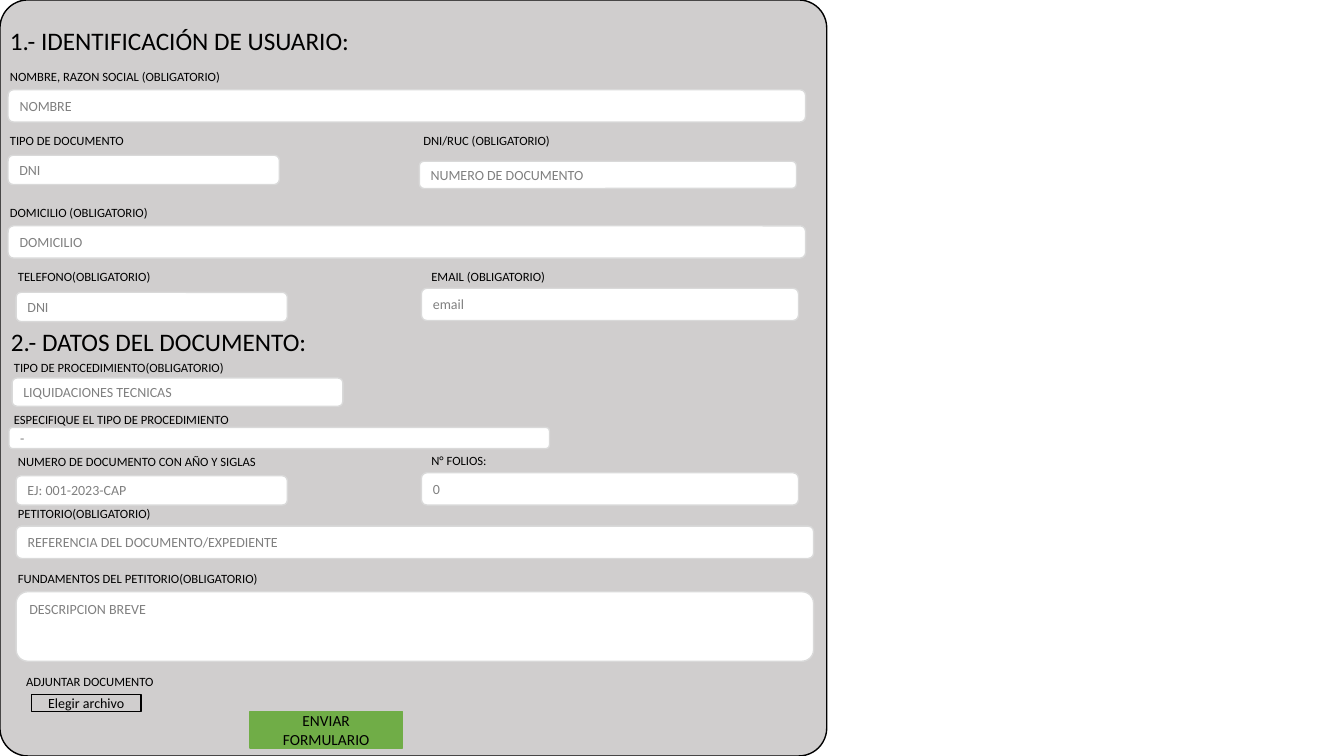
from dataclasses import dataclass

from pptx import Presentation
from pptx.dml.color import RGBColor
from pptx.enum.shapes import MSO_SHAPE
from pptx.enum.text import MSO_ANCHOR, MSO_AUTO_SIZE, PP_ALIGN
from pptx.shapes.autoshape import Shape
from pptx.slide import Slide
from pptx.util import Inches, Pt

ROUNDED = MSO_SHAPE.ROUNDED_RECTANGLE
RECTANGLE = MSO_SHAPE.RECTANGLE
TOP, MIDDLE = MSO_ANCHOR.TOP, MSO_ANCHOR.MIDDLE
LEFT, CENTER = PP_ALIGN.LEFT, PP_ALIGN.CENTER
GROW = MSO_AUTO_SIZE.SHAPE_TO_FIT_TEXT

FONT = "Calibri"
COLORS = {
    "panel": "D0CECE",
    "ink": "000000",
    "field": "FFFFFF",
    "border": "D9D9D9",
    "hint": "808080",
    "send": "70AD47",
}
SLIDE_WIDTH, SLIDE_HEIGHT = Inches(13.33), Inches(7.5)
COLUMN = SLIDE_WIDTH // 1333
ROW = SLIDE_HEIGHT // 750

LABEL_HEIGHT = 42
FULL, HALF, SHORT = 791, 374, 269


@dataclass(frozen=True)
class Area:
    column: int
    row: int
    columns: int
    rows: int

    def lengths(self) -> tuple[int, int, int, int]:
        return (self.column * COLUMN, self.row * ROW,
                self.columns * COLUMN, self.rows * ROW)


@dataclass(frozen=True)
class Label:
    text: str
    area: Area
    size: int = 9


@dataclass(frozen=True)
class Field:
    label: Label
    hint: str
    area: Area
    anchor: MSO_ANCHOR = MIDDLE


@dataclass(frozen=True)
class Button:
    text: str
    area: Area
    size: int
    fill: str
    line: str


def caption(text: str, column: int, row: int, columns: int = 234,
            rows: int = LABEL_HEIGHT) -> Label:
    return Label(text, Area(column, row, columns, rows))


HEADINGS = [
    Label("1.- IDENTIFICACIÓN DE USUARIO:", Area(0, 20, 361, LABEL_HEIGHT), 18),
    Label("2.- DATOS DEL DOCUMENTO:", Area(1, 319, 318, LABEL_HEIGHT), 18),
]
FIELDS = [
    Field(caption("NOMBRE, RAZON SOCIAL (OBLIGATORIO)", 0, 63),
          "NOMBRE", Area(8, 89, FULL, 32)),
    Field(caption("TIPO DE DOCUMENTO", 0, 127),
          "DNI", Area(8, 154, SHORT, 29)),
    Field(caption("DNI/RUC (OBLIGATORIO)", 410, 127),
          "NUMERO DE DOCUMENTO", Area(416, 160, HALF, 27)),
    Field(caption("DOMICILIO (OBLIGATORIO)", 0, 198),
          "DOMICILIO", Area(8, 224, FULL, 32)),
    Field(caption("TELEFONO(OBLIGATORIO)", 8, 262),
          "DNI", Area(16, 290, SHORT, 29)),
    Field(caption("EMAIL (OBLIGATORIO)", 418, 262),
          "email", Area(418, 286, HALF, 32)),
    Field(caption("TIPO DE PROCEDIMIENTO(OBLIGATORIO)", 4, 352),
          "LIQUIDACIONES TECNICAS", Area(12, 375, 328, 28)),
    Field(caption("NUMERO DE DOCUMENTO CON AÑO Y SIGLAS", 8, 445, 257),
          "EJ: 001-2023-CAP", Area(16, 472, SHORT, 29)),
    Field(caption("N° FOLIOS:", 418, 444, rows=26),
          "0", Area(418, 469, HALF, 32)),
    Field(caption("PETITORIO(OBLIGATORIO)", 8, 497),
          "REFERENCIA DEL DOCUMENTO/EXPEDIENTE", Area(16, 522, FULL, 32)),
    Field(caption("FUNDAMENTOS DEL PETITORIO(OBLIGATORIO)", 8, 561, 336),
          "DESCRIPCION BREVE", Area(16, 587, FULL, 69), TOP),
    Field(caption("ESPECIFIQUE EL TIPO DE PROCEDIMIENTO", 4, 404, 257),
          "-", Area(9, 424, 536, 21)),
]
ATTACHMENT = caption("ADJUNTAR DOCUMENTO", 16, 664, 151)
BUTTONS = [
    Button("Elegir archivo", Area(31, 689, 109, 17), 10, "panel", "ink"),
    Button("ENVIAR FORMULARIO", Area(248, 706, 151, 36), 11, "send", "send"),
]


def write(box: Shape, text: str, size: int, color: str,
          anchor: MSO_ANCHOR = TOP, align: PP_ALIGN = LEFT) -> None:
    frame = box.text_frame
    frame.word_wrap = True
    frame.vertical_anchor = anchor
    para = frame.paragraphs[0]
    para.alignment = align
    span = para.add_run()
    span.text = text
    span.font.name = FONT
    span.font.size = Pt(size)
    span.font.color.rgb = RGBColor.from_string(COLORS[color])


def draw_box(page: Slide, kind: MSO_SHAPE, area: Area, fill: str, line: str) -> Shape:
    box = page.shapes.add_shape(kind, *area.lengths())
    box.shadow.inherit = False
    box.fill.solid()
    box.fill.fore_color.rgb = RGBColor.from_string(COLORS[fill])
    box.line.color.rgb = RGBColor.from_string(COLORS[line])
    box.line.width = Pt(1)
    return box


def draw_label(page: Slide, label: Label) -> None:
    box = page.shapes.add_textbox(*label.area.lengths())
    write(box, label.text, label.size, "ink")
    box.text_frame.auto_size = GROW


def draw_field(page: Slide, field: Field) -> None:
    draw_label(page, field.label)
    box = draw_box(page, ROUNDED, field.area, "field", "border")
    write(box, field.hint, 10, "hint", field.anchor)


def draw_button(page: Slide, button: Button) -> None:
    box = draw_box(page, RECTANGLE, button.area, button.fill, button.line)
    write(box, button.text, button.size, "ink", MIDDLE, CENTER)


def main() -> None:
    deck = Presentation()
    deck.slide_width, deck.slide_height = SLIDE_WIDTH, SLIDE_HEIGHT
    page = deck.slides.add_slide(deck.slide_layouts[6])
    panel = draw_box(page, ROUNDED, Area(0, 0, 820, 750), "panel", "ink")
    panel.adjustments[0] = 0.037
    for heading in HEADINGS:
        draw_label(page, heading)
    for field in FIELDS:
        draw_field(page, field)
    draw_label(page, ATTACHMENT)
    for button in BUTTONS:
        draw_button(page, button)
    deck.save("out.pptx")


if __name__ == "__main__":
    main()
